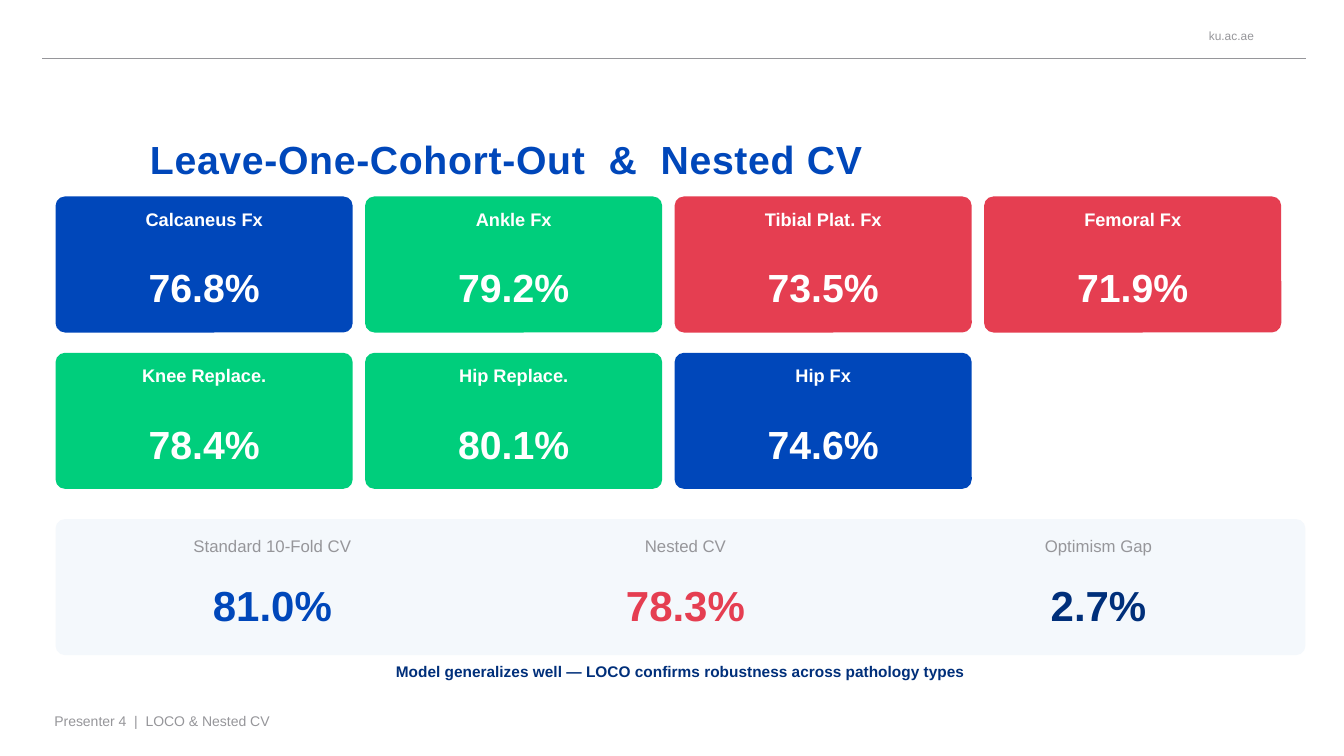
from lxml import etree
from pptx import Presentation
from pptx.dml.color import RGBColor
from pptx.enum.shapes import MSO_CONNECTOR, MSO_SHAPE
from pptx.enum.text import MSO_ANCHOR, PP_ALIGN
from pptx.oxml.ns import qn
from pptx.util import Cm, Pt

LEFT, CENTER, RIGHT = PP_ALIGN.LEFT, PP_ALIGN.CENTER, PP_ALIGN.RIGHT
TOP, MIDDLE, BOTTOM = MSO_ANCHOR.TOP, MSO_ANCHOR.MIDDLE, MSO_ANCHOR.BOTTOM
ROUNDED = MSO_SHAPE.ROUNDED_RECTANGLE
STRAIGHT = MSO_CONNECTOR.STRAIGHT

COLORS = {
    "blue": "0047BA",
    "green": "00CE7C",
    "red": "E53E51",
    "navy": "002F7A",
    "gray": "96969A",
    "pale": "F4F8FC",
    "white": "FFFFFF",
}

COHORTS = [
    ("Calcaneus Fx", "76.8%", "blue"),
    ("Ankle Fx", "79.2%", "green"),
    ("Tibial Plat. Fx", "73.5%", "red"),
    ("Femoral Fx", "71.9%", "red"),
    ("Knee Replace.", "78.4%", "green"),
    ("Hip Replace.", "80.1%", "green"),
    ("Hip Fx", "74.6%", "blue"),
]
SUMMARY = [
    ("Standard 10-Fold CV", "81.0%", "blue"),
    ("Nested CV", "78.3%", "red"),
    ("Optimism Gap", "2.7%", "navy"),
]

COLUMNS = 4
MARGIN = 1.4
CARD_WIDTH, CARD_HEIGHT = 7.49, 3.43
CARD_TOP, CARD_STEP_X, CARD_STEP_Y = 4.95, 7.8, 3.94
PANEL_TOP, PANEL_WIDTH = 13.08, 31.5
SUMMARY_LEFT, SUMMARY_WIDTH, SUMMARY_STEP = 1.91, 9.91, 10.41


def color(name):
    return RGBColor.from_string(COLORS[name])


class SlideBuilder:
    """Holds the font and the current page; places are in centimetres."""

    font_name = "Arial"

    def __init__(self, page):
        self.page = page

    def fill_frame(self, frame, text, size, tint, bold=False, align=CENTER,
                   anchor=TOP, insets=(0.1, 0.05)):
        side, edge = (Cm(inset) for inset in insets)
        frame_format = {
            "word_wrap": True, "vertical_anchor": anchor,
            "margin_left": side, "margin_right": side,
            "margin_top": edge, "margin_bottom": edge,
        }
        for name, value in frame_format.items():
            setattr(frame, name, value)
        para = frame.paragraphs[0]
        para.alignment = align
        span = para.add_run()
        span.text = text
        font_format = {"name": self.font_name, "size": Pt(size), "bold": bold}
        for name, value in font_format.items():
            setattr(span.font, name, value)
        span.font.color.rgb = color(tint)
        return span

    def title(self, place, text):
        box = self.page.shapes.title
        box.left, box.top, box.width, box.height = map(Cm, place)
        span = self.fill_frame(box.text_frame, text, 28, "blue", True, LEFT,
                               BOTTOM, (0, 0))
        span.font._element.set("spc", "50")

    def text(self, place, text, size, tint, **style):
        box = self.page.shapes.add_textbox(*map(Cm, place))
        self.fill_frame(box.text_frame, text, size, tint, **style)

    def panel(self, place, tint):
        box = self.page.shapes.add_shape(ROUNDED, *map(Cm, place))
        box.adjustments[0] = 0.07
        box.shadow.inherit = False
        box.fill.solid()
        box.fill.fore_color.rgb = color(tint)
        box.line.fill.background()

    def rule(self, ends, tint, width):
        line = self.page.shapes.add_connector(STRAIGHT, *map(Cm, ends))
        line.line.color.rgb = color(tint)
        line.line.width = Pt(width)
        etree.SubElement(line._element.spPr, qn("a:effectLst"))

    def card(self, left, top, label, value, tint):
        self.panel((left, top, CARD_WIDTH, CARD_HEIGHT), tint)
        self.text((left, top + 0.25, CARD_WIDTH, 1.14), label, 13, "white",
                  bold=True)
        self.text((left, top + 1.4, CARD_WIDTH, 1.78), value, 28, "white",
                  bold=True, anchor=MIDDLE)

    def metric(self, left, label, value, tint):
        self.text((left, PANEL_TOP + 0.38, SUMMARY_WIDTH, 1.02), label, 12,
                  "gray")
        self.text((left, PANEL_TOP + 1.27, SUMMARY_WIDTH, 1.78), value, 30,
                  tint, bold=True, anchor=MIDDLE)


def main():
    deck = Presentation()
    deck.slide_width, deck.slide_height = Cm(33.87), Cm(19.05)
    builder = SlideBuilder(deck.slides.add_slide(deck.slide_layouts[5]))

    builder.text((28.93, 0.56, 2.67, 0.69), "ku.ac.ae", 8.5, "gray",
                 align=RIGHT, anchor=MIDDLE, insets=(0, 0))
    builder.rule((1.07, 1.47, 32.92, 1.47), "gray", 0.75)
    builder.title((3.78, 1.5, 27.76, 3.1),
                  "Leave-One-Cohort-Out  &  Nested CV")

    for index, cohort in enumerate(COHORTS):
        row, column = divmod(index, COLUMNS)
        builder.card(MARGIN + column * CARD_STEP_X,
                     CARD_TOP + row * CARD_STEP_Y, *cohort)

    builder.panel((MARGIN, PANEL_TOP, PANEL_WIDTH, CARD_HEIGHT), "pale")
    for index, metric in enumerate(SUMMARY):
        builder.metric(SUMMARY_LEFT + index * SUMMARY_STEP, *metric)

    builder.text(
        (MARGIN, 16.64, PANEL_WIDTH, 0.89),
        "Model generalizes well — LOCO confirms robustness across pathology types",
        11, "navy", bold=True)
    builder.text((1.27, 17.91, 20.32, 0.76),
                 "Presenter 4  |  LOCO & Nested CV", 10, "gray", align=LEFT)
    deck.save("out.pptx")


if __name__ == "__main__":
    main()
